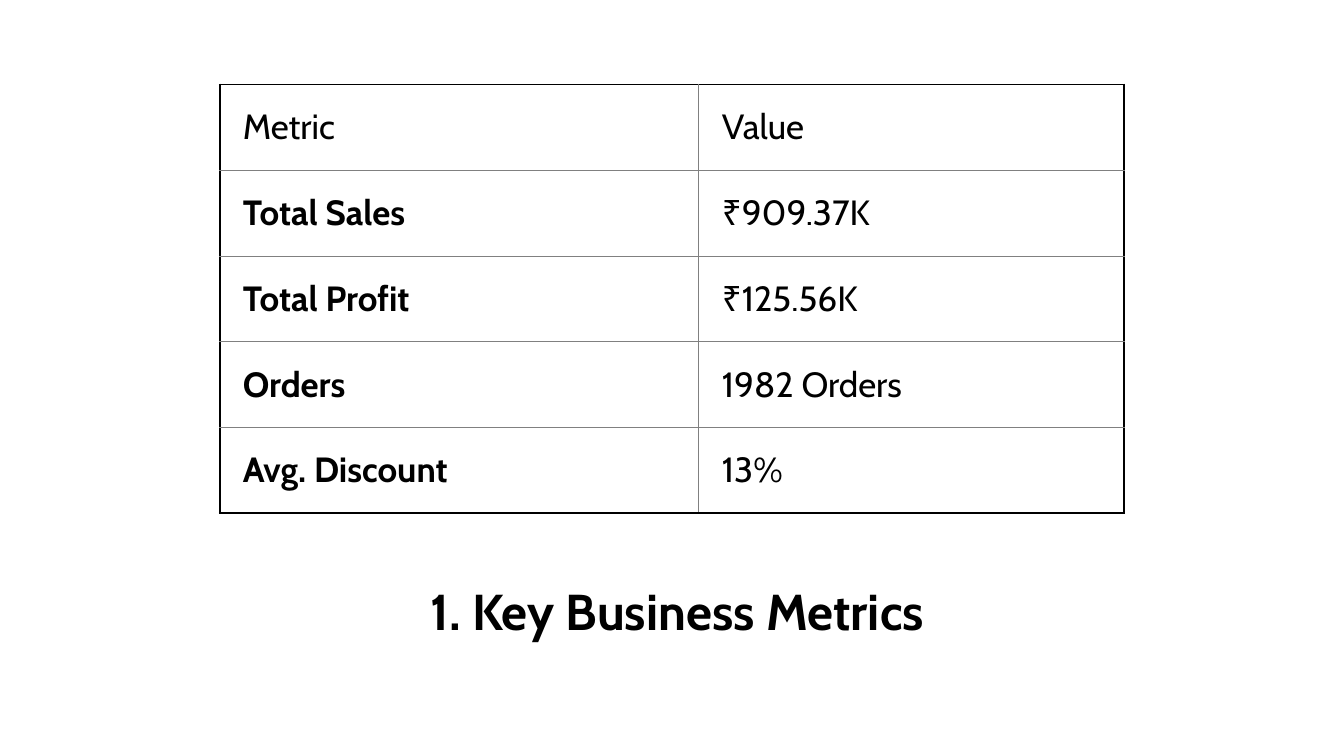
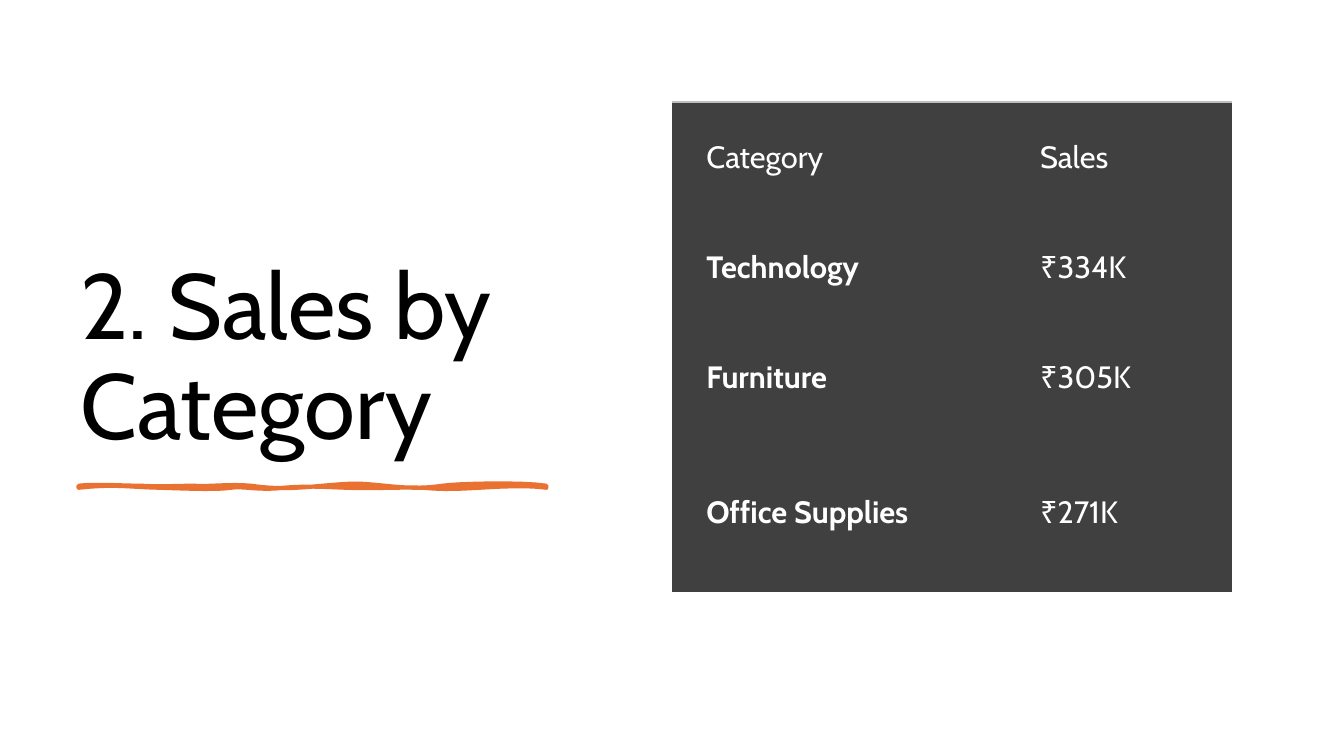
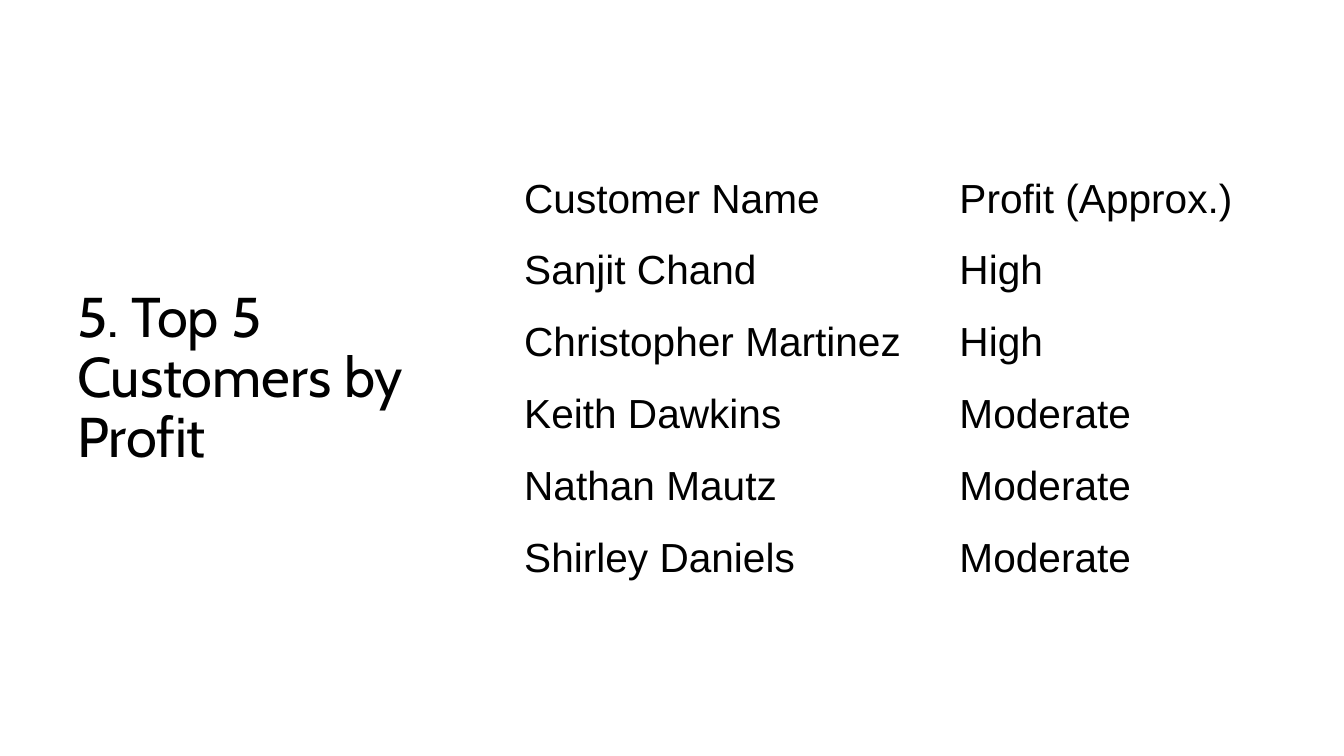
from dataclasses import dataclass, field
from typing import NamedTuple, Optional

from lxml import etree
from pptx import Presentation, util as u
from pptx.dml.color import RGBColor
from pptx.enum import text
from pptx.oxml.ns import qn
from pptx.slide import Slide
from pptx.table import _Cell as Cell

Cm, Pt = u.Cm, u.Pt

COLOURS = {
    "black": "000000",
    "white": "FFFFFF",
    "grid": "808080",
    "panel": "404040",
    "panel_edge": "BFBFBF",
    "accent": "E97132",
}
HEADING_FONT = "Cabin"
PLAIN_TABLE_STYLE = "{2D5ABB26-0587-4C30-8999-92F81FD0307C}"
SIDES = ("L", "R", "T", "B")
BLANK_LAYOUT = 6


class Border(NamedTuple):
    colour: str
    points: float


class Box(NamedTuple):
    """Left, top, width and height in centimetres."""
    left: float
    top: float
    width: float
    height: float


class Insets(NamedTuple):
    left: float
    top: float
    right: float
    bottom: float


@dataclass
class Title:
    words: str
    box: Box
    size: float
    anchor: text.MSO_ANCHOR = text.MSO_ANCHOR.BOTTOM
    align: text.PP_ALIGN = text.PP_ALIGN.LEFT
    bold: bool = False


@dataclass
class Grid:
    rows: list[tuple[str, str]]
    left: float
    top: float
    widths: list[float]
    heights: list[float]
    size: float
    insets: Insets
    font: str = HEADING_FONT
    colour: str = "black"
    fill: Optional[str] = None
    bold_labels: bool = True
    outer: dict[str, Border] = field(default_factory=dict)
    inner: Optional[Border] = None


def rgb(name: str) -> RGBColor:
    return RGBColor.from_string(COLOURS[name])


def add_title(slide: Slide, title: Title) -> None:
    shape = slide.shapes.add_textbox(*map(Cm, title.box))
    frame = shape.text_frame
    frame.word_wrap = True
    frame.vertical_anchor = title.anchor
    paragraph = frame.paragraphs[0]
    paragraph.text = title.words
    paragraph.alignment = title.align
    paragraph.line_spacing = 0.9
    set_font(paragraph.font, HEADING_FONT, title.size, "black", title.bold)


def set_font(font: text.Any if hasattr(text, "Any") else object, name: str,
             size: float, colour: str, bold: bool) -> None:
    font.name, font.size, font.bold = name, Pt(size), bold
    font.color.rgb = rgb(colour)


def set_border(cell: Cell, side: str, border: Optional[Border]) -> None:
    properties = cell._tc.get_or_add_tcPr()
    line = etree.SubElement(properties, qn(f"a:ln{side}"))
    if border is None:
        etree.SubElement(line, qn("a:noFill"))
        return
    line.set("w", str(Pt(border.points)))
    fill = etree.SubElement(line, qn("a:solidFill"))
    etree.SubElement(fill, qn("a:srgbClr"), val=COLOURS[border.colour])


def add_grid(slide: Slide, grid: Grid) -> None:
    row_count, column_count = len(grid.rows), len(grid.widths)
    frame = slide.shapes.add_table(
        row_count, column_count, Cm(grid.left), Cm(grid.top),
        Cm(sum(grid.widths)), Cm(sum(grid.heights)))
    table = frame.table
    table.first_row = table.horz_banding = False
    table._tbl.tblPr.find(qn("a:tableStyleId")).text = PLAIN_TABLE_STYLE
    for column, width in zip(table.columns, grid.widths):
        column.width = Cm(width)
    for row, height in zip(table.rows, grid.heights):
        row.height = Cm(height)

    for r, words in enumerate(grid.rows):
        for c, word in enumerate(words):
            cell = table.cell(r, c)
            at_edge = (c == 0, c == column_count - 1, r == 0, r == row_count - 1)
            for side, outside in zip(SIDES, at_edge):
                set_border(cell, side, grid.outer.get(side) if outside else grid.inner)
            if grid.fill:
                cell.fill.solid()
                cell.fill.fore_color.rgb = rgb(grid.fill)
            else:
                cell.fill.background()
            (cell.margin_left, cell.margin_top,
             cell.margin_right, cell.margin_bottom) = map(Cm, grid.insets)
            cell.vertical_anchor = text.MSO_ANCHOR.MIDDLE
            paragraph = cell.text_frame.paragraphs[0]
            paragraph.text = word
            is_label = grid.bold_labels and r > 0 and c == 0
            set_font(paragraph.font, grid.font, grid.size, grid.colour, is_label)


Point = tuple[float, float]

# Brush stroke outline in centimetres: two control points and an end per curve.
STROKE_START: Point = (1.98, 12.24)
STROKE_CURVES: list[tuple[Point, Point, Point]] = [
    ((2.41, 12.19), (3.05, 12.24), (3.56, 12.24)),
    ((4.06, 12.27), (4.5, 12.24), (4.88, 12.24)),
    ((5.26, 12.27), (5.77, 12.19), (6.32, 12.24)),
    ((6.91, 12.32), (7.29, 12.32), (8.13, 12.24)),
    ((8.97, 12.17), (8.97, 12.17), (9.7, 12.24)),
    ((10.41, 12.32), (10.82, 12.29), (11.15, 12.24)),
    ((11.48, 12.19), (13.13, 12.14), (13.77, 12.24)),
    ((13.77, 12.27), (13.77, 12.27), (13.77, 12.29)),
    ((13.41, 12.24), (12.9, 12.24), (12.09, 12.29)),
    ((11.28, 12.34), (11.02, 12.32), (10.64, 12.29)),
    ((10.26, 12.27), (9.27, 12.32), (8.71, 12.29)),
    ((8.18, 12.27), (7.8, 12.24), (7.16, 12.29)),
    ((6.53, 12.37), (6.15, 12.24), (5.82, 12.29)),
    ((5.49, 12.34), (4.88, 12.32), (4.01, 12.29)),
    ((3.15, 12.27), (2.92, 12.19), (1.98, 12.29)),
]


def curve_points(start: Point, first: Point, second: Point, end: Point,
                 steps: int = 8) -> list[Point]:
    """Sample a cubic curve, leaving out its start."""
    points = []
    for step in range(1, steps + 1):
        t = step / steps
        weights = ((1 - t) ** 3, 3 * t * (1 - t) ** 2, 3 * t * t * (1 - t), t ** 3)
        corners = (start, first, second, end)
        points.append((sum(w * p[0] for w, p in zip(weights, corners)),
                       sum(w * p[1] for w, p in zip(weights, corners))))
    return points


def add_brush_stroke(slide: Slide) -> None:
    points, start = [], STROKE_START
    for curve in STROKE_CURVES:
        points += curve_points(start, *curve)
        start = curve[-1]
    builder = slide.shapes.build_freeform(*map(Cm, STROKE_START))
    builder.add_line_segments([(Cm(x), Cm(y)) for x, y in points], close=True)
    shape = builder.convert_to_shape()
    shape.shadow.inherit = False
    shape.fill.solid()
    shape.fill.fore_color.rgb = rgb("accent")
    shape.line.color.rgb = rgb("accent")
    shape.line.width = Pt(3)
    etree.SubElement(shape._element.spPr.find(qn("a:ln")), qn("a:round"))


METRICS_TITLE = Title(" 1. Key Business Metrics", Box(5.54, 14.27, 22.78, 2.03), 36,
                      align=text.PP_ALIGN.CENTER, bold=True)
METRICS = Grid(
    rows=[("Metric", "Value"), ("Total Sales", "₹909.37K"),
          ("Total Profit", "₹125.56K"), ("Orders", "1982 Orders"),
          ("Avg. Discount", "13%")],
    left=5.54, top=2.13, widths=[12.07, 10.72], heights=[2.16] * 5, size=25,
    insets=Insets(0.58, 0.46, 0.84, 0.46),
    outer=dict.fromkeys(SIDES, Border("black", 1.5)), inner=Border("grid", 0.5))

CATEGORY_TITLE = Title("2. Sales by Category", Box(1.78, 0.89, 18.59, 10.82), 66)
CATEGORIES = Grid(
    rows=[("Category", "Sales"), ("Technology", "₹334K"),
          ("Furniture", "₹305K"), ("Office Supplies", "₹271K")],
    left=16.94, top=2.57, widths=[8.41, 5.69], heights=[2.77] * 3 + [4.04], size=22,
    insets=Insets(0.86, 0.48, 0.86, 0.43), colour="white", fill="panel",
    outer={"T": Border("panel_edge", 1)})

CUSTOMERS_TITLE = Title("5. Top 5 Customers by Profit", Box(1.7, 1.52, 9.7, 16.08), 40,
                        anchor=text.MSO_ANCHOR.MIDDLE)
CUSTOMERS = Grid(
    rows=[("Customer Name", "Profit (Approx.)"), ("Sanjit Chand", "High"),
          ("Christopher Martinez", "High"), ("Keith Dawkins", "Moderate"),
          ("Nathan Mautz", "Moderate"), ("Shirley Daniels", "Moderate")],
    left=12.8, top=4.11, widths=[10.97, 8.33], heights=[1.81] * 6, size=29,
    insets=Insets(0.41, 0.2, 0.41, 0.2), font="Arial", bold_labels=False)


def main() -> None:
    presentation = Presentation()
    presentation.slide_width, presentation.slide_height = Cm(33.87), Cm(19.05)
    layout = presentation.slide_layouts[BLANK_LAYOUT]
    pages = [(METRICS_TITLE, METRICS), (CATEGORY_TITLE, CATEGORIES),
             (CUSTOMERS_TITLE, CUSTOMERS)]
    for title, grid in pages:
        slide = presentation.slides.add_slide(layout)
        add_title(slide, title)
        if title is CATEGORY_TITLE:
            add_brush_stroke(slide)
        add_grid(slide, grid)
    presentation.save("out.pptx")


if __name__ == "__main__":
    main()
